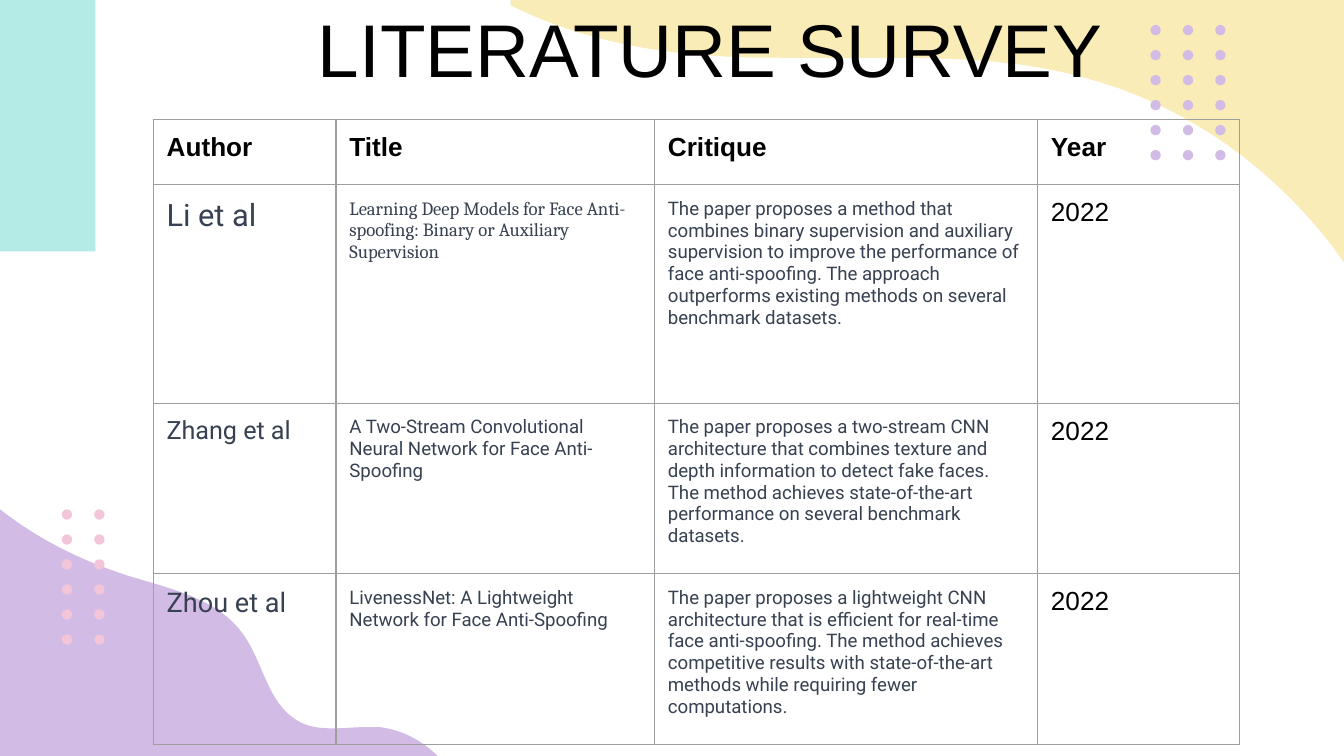
from lxml import etree
from pptx import Presentation
from pptx import util as u
from pptx.dml.color import RGBColor
from pptx.enum import shapes, text
from pptx.oxml import ns

YELLOW = RGBColor(0xFA, 0xEC, 0xB6)
LILAC = RGBColor(0xD2, 0xBC, 0xE6)
PINK = RGBColor(0xF3, 0xC5, 0xD8)
TEAL = RGBColor(0xB5, 0xEB, 0xE7)
BLACK = RGBColor(0, 0, 0)
SLATE = RGBColor(0x37, 0x41, 0x51)
BORDER = RGBColor(0x9E, 0x9E, 0x9E)

# The slide is a grid of 100 columns by 56.25 rows of square units
COLS, ROWS = 100, 56.25
UNIT = u.Inches(0.1)


def grid(*lengths):
    return [round(n * UNIT) for n in lengths]


def curve(start, *segments, steps=16):
    """Points along a chain of cubic Bezier segments."""
    points = [start]
    for b, c, d in segments:
        a = points[-1]
        for i in range(1, steps + 1):
            t = i / steps
            weights = ((1 - t) ** 3, 3 * t * (1 - t) ** 2, 3 * t * t * (1 - t), t ** 3)
            points.append(tuple(sum(w * p[k] for w, p in zip(weights, (a, b, c, d)))
                                for k in (0, 1)))
    return points


class SurveySlide:
    def __init__(self, prs):
        self.s = prs.slides.add_slide(prs.slide_layouts[5])

    def paint(self, sp, color):
        sp.shadow.inherit = False
        sp.fill.solid()
        sp.fill.fore_color.rgb = color
        sp.line.fill.background()

    def style(self, p, size, font, color, bold=False):
        p.font.size = u.Pt(size)
        p.font.name = font
        p.font.color.rgb = color
        p.font.bold = bold

    def wave(self, points, color):
        points = [grid(*point) for point in points]
        builder = self.s.shapes.build_freeform(*points[0])
        builder.add_line_segments(points[1:], close=True)
        self.paint(builder.convert_to_shape(), color)

    def dots(self, left, top, cols, rows, color):
        group = self.s.shapes.add_group_shape()
        for c in range(cols):
            for r in range(rows):
                box = grid(left + 2.41 * c, top + 1.86 * r, 0.77, 0.77)
                self.paint(group.shapes.add_shape(shapes.MSO_SHAPE.OVAL, *box), color)

    def block(self, left, top, width, height, color, rotation=0):
        sp = self.s.shapes.add_shape(shapes.MSO_SHAPE.RECTANGLE,
                                     *grid(left, top, width, height))
        sp.rotation = rotation
        self.paint(sp, color)

    def title(self, wording, left, top, width, height):
        sp = self.s.shapes.title
        sp.element.getparent().append(sp.element)  # bring in front of the waves
        sp.left, sp.top, sp.width, sp.height = grid(left, top, width, height)
        tf = sp.text_frame
        tf.text = wording
        tf.auto_size = text.MSO_AUTO_SIZE.NONE
        tf.vertical_anchor = text.MSO_ANCHOR.BOTTOM
        tf.margin_left = tf.margin_right = tf.margin_top = tf.margin_bottom = UNIT
        p = tf.paragraphs[0]
        p.alignment = text.PP_ALIGN.CENTER
        self.style(p, 40, "Arial", BLACK)

    def cell(self, cell, wording, size, font, color, bold=False):
        cell.margin_left = cell.margin_right = UNIT
        cell.margin_top = cell.margin_bottom = UNIT
        cell.text = wording
        self.style(cell.text_frame.paragraphs[0], size, font, color, bold)
        props = cell._tc.get_or_add_tcPr()
        for side in ("lnL", "lnR", "lnT", "lnB"):
            line = etree.SubElement(props, ns.qn(f"a:{side}"), w=str(u.Pt(0.75)))
            fill = etree.SubElement(line, ns.qn("a:solidFill"))
            etree.SubElement(fill, ns.qn("a:srgbClr"), val=str(BORDER))
        cell.fill.background()

    def table(self, left, top, widths, heights, rows):
        frame = self.s.shapes.add_table(
            len(heights), len(widths), *grid(left, top, sum(widths), sum(heights)))
        table = frame.table
        table.first_row = table.horz_banding = False
        for column, width in zip(table.columns, grid(*widths)):
            column.width = width
        for row, height, contents in zip(table.rows, grid(*heights), rows):
            row.height = height
            for cell, content in zip(row.cells, contents):
                self.cell(cell, *content)


HEADINGS = ["Author", "Title", "Critique", "Year"]
# Author, author size, title, title font, critique, year
PAPERS = [
    ("Li et al", 16.5,
     "Learning Deep Models for Face Anti-spoofing: Binary or Auxiliary Supervision",
     "Cambria",
     "The paper proposes a method that combines binary supervision and auxiliary "
     "supervision to improve the performance of face anti-spoofing. The approach "
     "outperforms existing methods on several benchmark datasets.", "2022"),
    ("Zhang et al", 13.5,
     "A Two-Stream Convolutional Neural Network for Face Anti-Spoofing", "Roboto",
     "The paper proposes a two-stream CNN architecture that combines texture and "
     "depth information to detect fake faces. The method achieves state-of-the-art "
     "performance on several benchmark datasets.", "2022"),
    ("Zhou et al", 14.5,
     "LivenessNet: A Lightweight Network for Face Anti-Spoofing", "Roboto",
     "The paper proposes a lightweight CNN architecture that is efficient for "
     "real-time face anti-spoofing. The method achieves competitive results with "
     "state-of-the-art methods while requiring fewer computations.", "2022"),
]


def main():
    prs = Presentation()
    prs.slide_width, prs.slide_height = grid(COLS, ROWS)
    slide = SurveySlide(prs)

    # Yellow wave and lilac dots, top right
    edge = curve((38, 0.4),
                 ((42.4, 2.6), (47.6, 3.8), (52.5, 4.1)),
                 ((54.7, 4.3), (56.9, 4.3), (59.2, 4.3)),
                 ((61.3, 4.3), (63.5, 4.3), (65.6, 4.3)),
                 ((70.6, 4.3), (75.6, 4.4), (80.4, 5.7)),
                 ((88.3, 7.7), (95.3, 12.8), (100, 19.5)))
    slide.wave(edge + [(100, -24.7), (38, -24.7)], YELLOW)
    slide.dots(85.6, 1.86, 3, 6, LILAC)

    # Lilac wave and pink dots, bottom left
    edge = curve((32.8, 56.5),
                 ((31.6, 55.2), (30, 54.3), (28.2, 54.1)),
                 ((27.9, 54.1), (27.7, 54.1), (27.4, 54.1)),
                 ((26.5, 54.1), (25.6, 54.2), (24.8, 54.2)),
                 ((23.8, 54.2), (22.9, 54.1), (22.1, 53.6)),
                 ((19.9, 52.3), (19.6, 49.3), (18.1, 47.2)),
                 ((16.2, 44.5), (12.6, 43.8), (9.4, 42.8)),
                 ((6, 41.7), (2.8, 40.1), (0, 37.9)))
    slide.wave(edge + [(0, 62.9), (32.8, 62.9)], LILAC)
    slide.dots(4.6, 37.9, 2, 6, PINK)

    # Title and teal block
    slide.title("LITERATURE SURVEY", 17.3, 1.1, 71.1, 6.8)
    slide.block(-6.8, 4.8, 19.5, 8.3, TEAL, rotation=270)

    # Survey table
    rows = [[(heading, 14, "Arial", BLACK, True) for heading in HEADINGS]]
    for author, size, name, font, critique, year in PAPERS:
        rows.append([(author, size, "Roboto", SLATE), (name, 10, font, SLATE),
                     (critique, 10, "Roboto", SLATE), (year, 14, "Arial", BLACK)])
    slide.table(11.4, 8.9, [13.6, 23.7, 28.5, 15], [4.85, 16.25, 12.7, 12.7], rows)

    prs.save("out.pptx")


if __name__ == "__main__":
    main()
